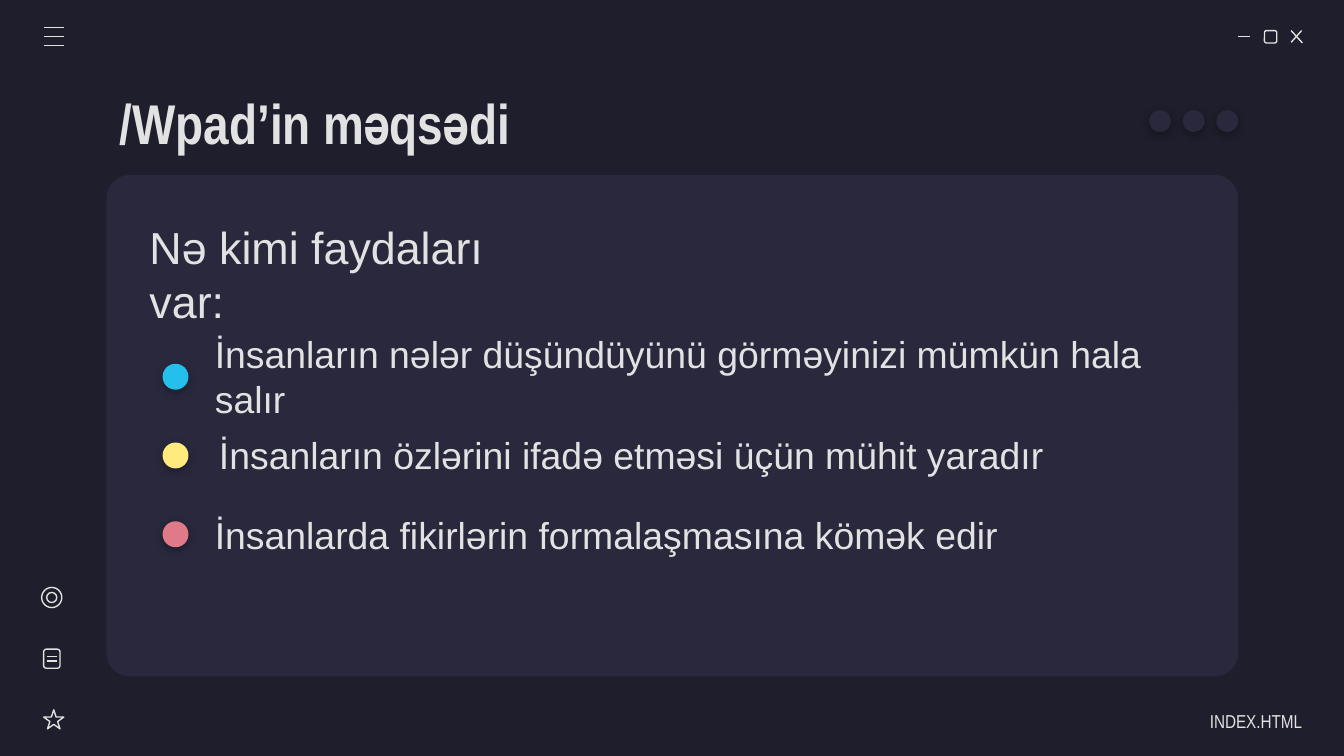
from lxml import etree
from pptx import Presentation
from pptx.dml.color import RGBColor
from pptx.enum import shapes, text
from pptx.oxml import ns
from pptx.util import Pt

HUES = {
    "back": "1E1E2C",
    "card": "29283D",
    "pale": "E2E2E2",
    "blue": "24BFEB",
    "gold": "FFEA7D",
    "rose": "E07A88",
    "shade": "000000",
}
KINDS = shapes.MSO_SHAPE
ALIGN = text.PP_ALIGN
POINTS = [
    ("blue", 108, "İnsanların nələr düşündüyünü görməyinizi mümkün hala salır"),
    ("gold", 110.2, "İnsanların özlərini ifadə etməsi üçün mühit yaradır"),
    ("rose", 108, "İnsanlarda fikirlərin formalaşmasına kömək edir"),
]


def hue(name):
    return RGBColor.from_string(HUES[name])


def node(root, tag, **attrs):
    return etree.SubElement(root, ns.qn(tag), attrs)


def place(item, box):
    item.left, item.top, item.width, item.height = map(Pt, box)


def write(item, words, size, font="Arial", bold=False, align=ALIGN.LEFT,
          right=7.2, lead=1.0):
    frame = item.text_frame
    frame.auto_size = text.MSO_AUTO_SIZE.NONE
    frame.word_wrap = True
    frame.vertical_anchor = text.MSO_ANCHOR.MIDDLE
    frame.margin_left = frame.margin_top = frame.margin_bottom = Pt(7.2)
    frame.margin_right = Pt(right)
    para = frame.paragraphs[0]
    para.alignment = align
    para.line_spacing = lead
    para.space_before = Pt(0)
    run = para.add_run()
    run.text = words
    run.font.size = Pt(size)
    run.font.name = font
    run.font.bold = bold
    run.font.color.rgb = hue("pale")


def label(slide, box, words, size):
    write(slide.shapes.add_textbox(*map(Pt, box)), words, size)


def solid(slide, kind, box, fill):
    item = slide.shapes.add_shape(kind, *map(Pt, box))
    item.shadow.inherit = False
    item.fill.solid()
    item.fill.fore_color.rgb = hue(fill)
    item.line.fill.background()
    return item


def dot(slide, left, top, size, fill):
    """Draw a filled circle with a soft shadow below it."""
    item = solid(slide, KINDS.OVAL, (left, top, size, size), fill)
    effect = item._element.spPr.find(ns.qn("a:effectLst"))
    shade = node(effect, "a:outerShdw", blurRad=str(Pt(4.5)),
                 dist=str(Pt(1.5)), dir="5400000", algn="bl",
                 rotWithShape="0")
    tint = node(shade, "a:srgbClr", val=HUES["shade"])
    node(tint, "a:alpha", val="30000")


def ring(slide, kind, box):
    """Draw a shape with an outline and no fill."""
    item = slide.shapes.add_shape(kind, *map(Pt, box))
    item.shadow.inherit = False
    item.fill.background()
    item.line.color.rgb = hue("pale")
    item.line.width = Pt(0.75)


def line(slide, *ends):
    item = slide.shapes.add_connector(
        shapes.MSO_CONNECTOR.STRAIGHT, *map(Pt, ends))
    item.line.color.rgb = hue("pale")
    item.line.width = Pt(0.75)
    node(item._element.spPr, "a:effectLst")


def window(slide):
    line(slide, 663.1, 19.5, 669.7, 19.5)
    ring(slide, KINDS.ROUNDED_RECTANGLE, (677.4, 16.4, 6.6, 6.6))
    line(slide, 691.7, 16.4, 697.7, 23)
    line(slide, 697.3, 16.4, 691.7, 22.7)


def menu(slide):
    for row in range(3):
        top = 14.7 + 4.8 * row
        line(slide, 23.4, top, 34.2, top)


def icons(slide):
    ring(slide, KINDS.STAR_5_POINT, (23.4, 380.3, 10.8, 10.2))
    ring(slide, KINDS.ROUNDED_RECTANGLE, (23.4, 347.8, 8.8, 10.2))
    for top in (351.6, 354.1):
        line(slide, 25.2, top, 30.4, top)
    for size in (10.8, 5.4):
        ring(slide, KINDS.OVAL, (27.7 - size / 2, 320.1 - size / 2, size, size))


def main():
    deck = Presentation()
    deck.slide_width, deck.slide_height = Pt(720), Pt(405)
    slide = deck.slides.add_slide(deck.slide_layouts[0])
    slide.background.fill.solid()
    slide.background.fill.fore_color.rgb = hue("back")

    title, foot = slide.placeholders
    place(title, (57, 42.6, 567.4, 45.4))
    write(title, "/Wpad’in məqsədi", 30, font="Arial Narrow", bold=True)
    place(foot, (613.4, 374.6, 84.2, 21.6))
    write(foot, "INDEX.HTML", 10, font="Arial Narrow", align=ALIGN.RIGHT,
          right=0, lead=1.15)

    card = solid(slide, KINDS.ROUNDED_RECTANGLE, (57, 93.8, 606.4, 268.6),
                 "card")
    card.adjustments[0] = 0.047
    window(slide)
    menu(slide)
    icons(slide)
    for col in range(3):
        dot(slide, 615.6 + 18 * col, 59, 11.7, "card")

    label(slide, (73, 123.8, 205.9, 45.4), "Nə kimi faydaları var:", 24)
    for row, (fill, left, words) in enumerate(POINTS):
        dot(slide, 87.1, 194.9 + 42.2 * row, 13.9, fill)
        label(slide, (left, 186.6 + 42.4 * row, 529.2, 29.5), words, 20)

    deck.save("out.pptx")


if __name__ == "__main__":
    main()
